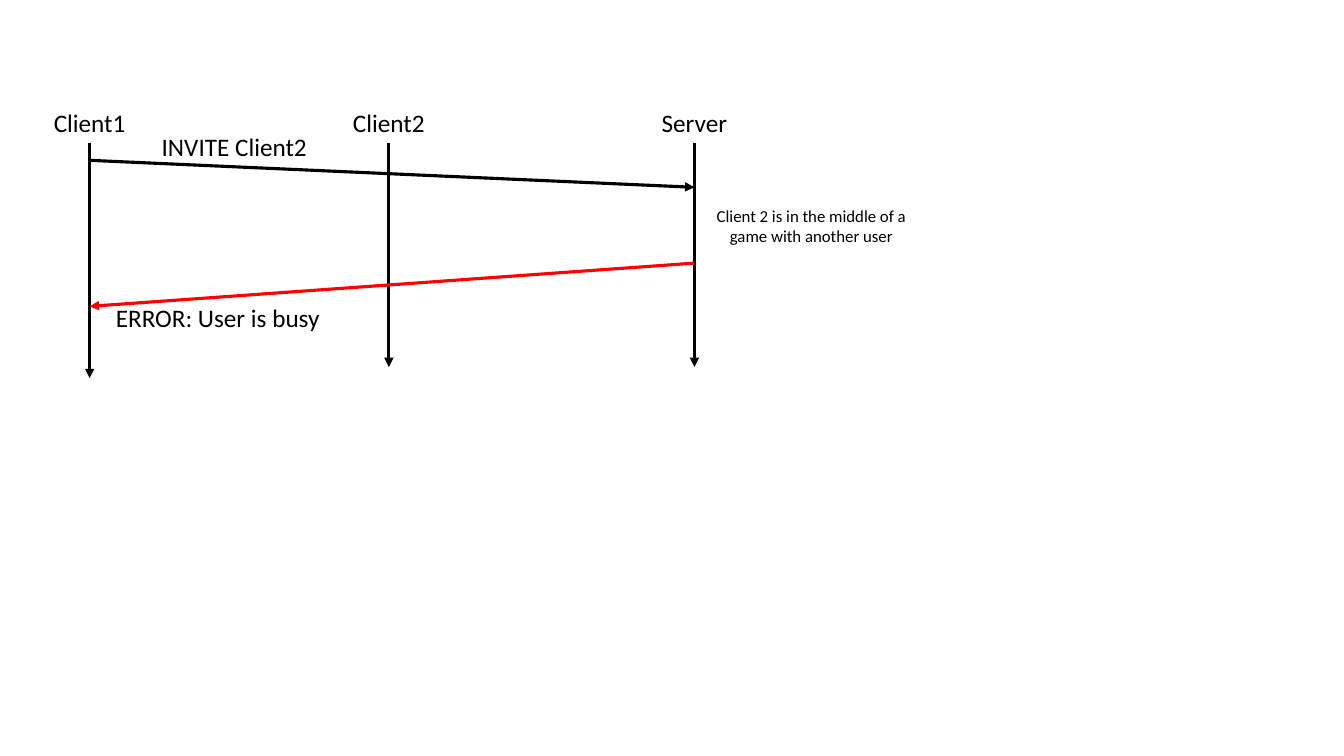
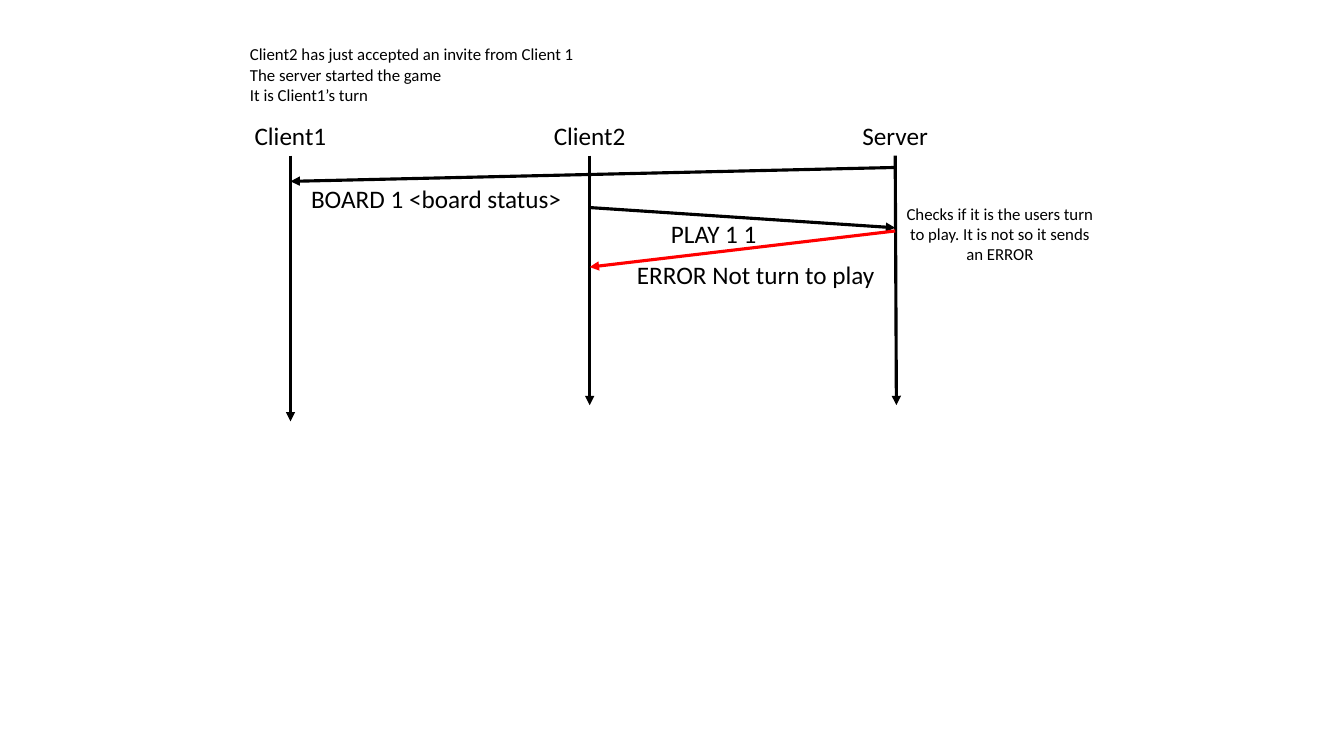
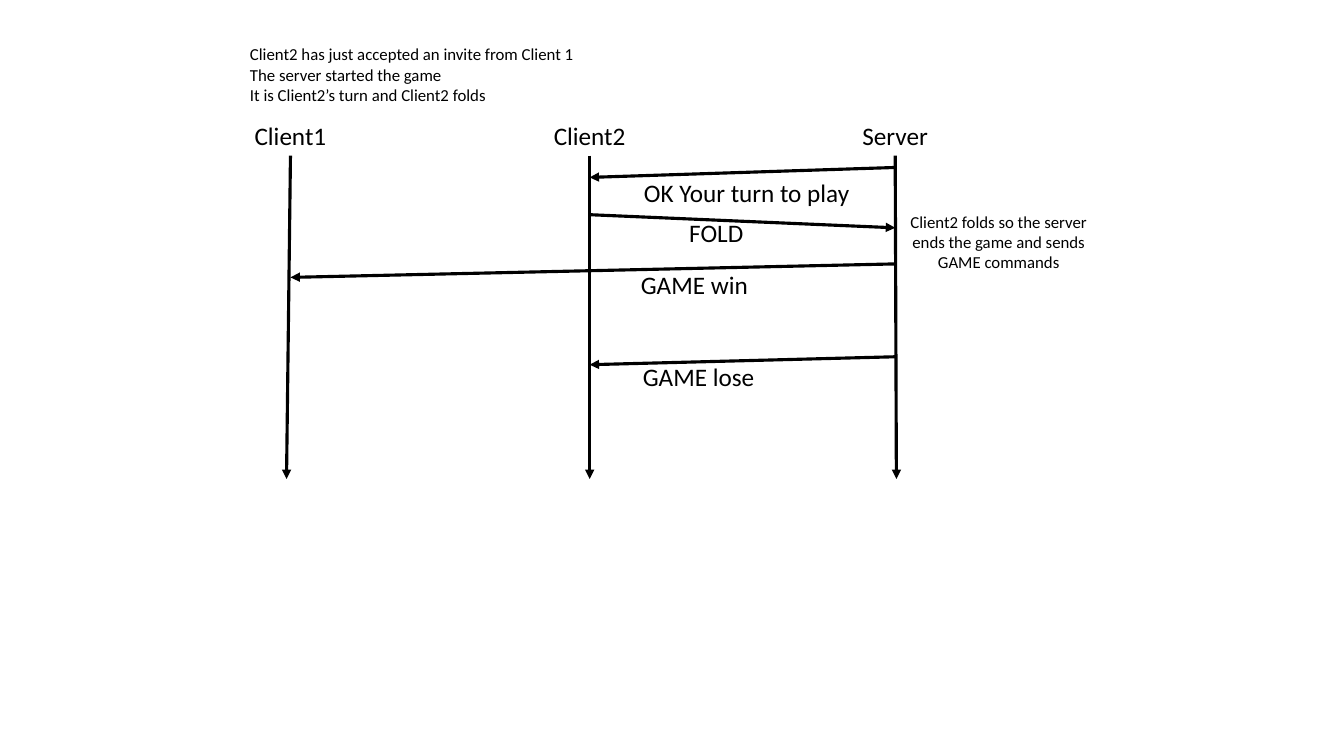
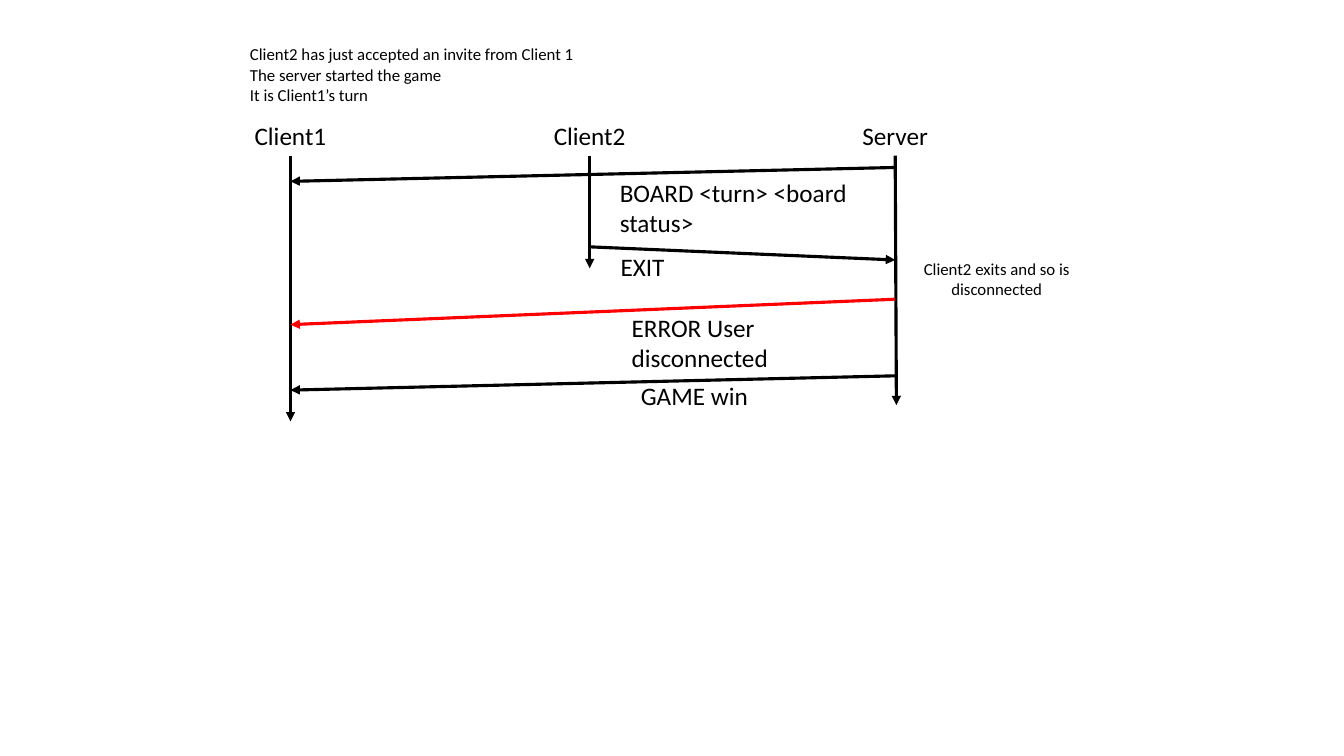
from dataclasses import dataclass

from lxml import etree
from pptx import Presentation
from pptx.dml.color import RGBColor
from pptx.enum.shapes import MSO_CONNECTOR
from pptx.enum.text import MSO_AUTO_SIZE, PP_ALIGN
from pptx.oxml.ns import qn
from pptx.util import Cm, Pt

LEFT, MID = PP_ALIGN.LEFT, PP_ALIGN.CENTER
FIT = MSO_AUTO_SIZE.SHAPE_TO_FIT_TEXT
STRAIGHT = MSO_CONNECTOR.STRAIGHT


@dataclass(frozen=True)
class Theme:
    font: str = "Calibri"
    ink: RGBColor = RGBColor(0, 0, 0)
    alert: RGBColor = RGBColor(255, 0, 0)
    body: int = 18
    small: int = 12
    line: float = 2.25


T = Theme()

# Lanes: all lengths in cm
LANES = ("Client1", "Client2", "Server")
STEPS = (0, 7.54, 15.24)
C1, C2, SRV = range(3)
HEAD_W, HEAD_H = 2.87, 1.02
NOTE_W = 5.28
INTRO_X, INTRO_Y, INTRO_W = 6.05, 0.99, 17.42
START = ("Client2 has just accepted an invite from Client 1",
         "The server started the game")

# ends: lean and bottom of each lane
# msgs: from, y, to, y, colour, text, (left, top, width, rows, align)
# note: text, left, top, rows
SLIDES = [
    dict(
        left=2.26, top=2.59, intro=(),
        ends=((0, 9.53), (0, 9.25), (0, 9.25)),
        msgs=(
            (C1, 4.04, SRV, 4.72, T.ink, "INVITE Client2", (2.54, 3.18, 6.73, 1, MID)),
            (SRV, 6.63, C1, 7.72, T.alert, "ERROR: User is busy", (2.67, 7.49, 6.43, 1, LEFT)),
        ),
        note=("Client 2 is in the middle of a game with another user", 17.81, 5.05, 2),
    ),
    dict(
        left=7.32, top=2.9, intro=START + ("It is Client1’s turn",),
        ends=((0, 10.62), (0, 10.21), (0.03, 10.21)),
        msgs=(
            (SRV, 4.22, C1, 4.57, T.ink, "BOARD 1 <board status>", (7.59, 4.5, 7.67, 1, LEFT)),
            (C2, 5.23, SRV, 5.74, T.ink, "PLAY 1 1", (16.66, 5.38, 6.43, 1, LEFT)),
            (SRV, 5.82, C2, 6.73, T.alert, "ERROR Not turn to play", (15.8, 6.4, 6.81, 1, LEFT)),
        ),
        note=("Checks if it is the users turn to play. It is not so it sends an ERROR",
              22.56, 5, 3),
    ),
    dict(
        left=7.32, top=2.9, intro=START + ("It is Client2’s turn and Client2 folds",),
        ends=((-0.1, 12.07), (0, 12.07), (0.03, 12.07)),
        msgs=(
            (SRV, 4.22, C2, 4.47, T.ink, "OK Your turn to play", (15.98, 4.34, 6.43, 1, LEFT)),
            (C2, 5.41, SRV, 5.74, T.ink, "FOLD", (17.12, 5.36, 6.43, 1, LEFT)),
            (SRV, 6.65, C1, 6.99, T.ink, "GAME win", (15.9, 6.65, 6.43, 1, LEFT)),
            (SRV, 8.99, C2, 9.19, T.ink, "GAME lose", (15.95, 8.99, 6.43, 1, LEFT)),
        ),
        note=("Client2 folds so the server ends the game and sends GAME commands",
              22.53, 5.21, 3),
    ),
    dict(
        left=7.32, top=2.9, intro=START + ("It is Client1’s turn",),
        ends=((0, 10.62), (0, 6.76), (0.03, 10.21)),
        msgs=(
            (SRV, 4.22, C1, 4.57, T.ink, "BOARD <turn> <board status>",
             (15.37, 4.34, 6.83, 2, LEFT)),
            (C2, 6.22, SRV, 6.55, T.ink, "EXIT", (15.39, 6.22, 6.43, 1, LEFT)),
            (SRV, 7.54, C1, 8.18, T.alert, "ERROR User disconnected",
             (15.67, 7.75, 6.81, 2, LEFT)),
            (SRV, 9.47, C1, 9.83, T.ink, "GAME win", (15.9, 9.47, 6.43, 1, LEFT)),
        ),
        note=("Client2 exits and so is disconnected", 22.48, 6.4, 2),
    ),
]


def write(slide, lines, x, y, w, rows, size, align):
    """Add a text box as tall as its rows."""
    high = Cm(0.25) + Pt(size * 1.2 * rows)
    box = slide.shapes.add_textbox(Cm(x), Cm(y), Cm(w), high)
    frame = box.text_frame
    frame.word_wrap = True
    frame.auto_size = FIT
    frame.text = "\n".join(lines)
    for par in frame.paragraphs:
        par.alignment = align
        par.font.name = T.font
        par.font.size = Pt(size)
        par.font.color.rgb = T.ink


def arrow(slide, x1, y1, x2, y2, color):
    """Add a straight arrow that points at its second end."""
    link = slide.shapes.add_connector(STRAIGHT, Cm(x1), Cm(y1), Cm(x2), Cm(y2))
    link.line.color.rgb = color
    link.line.width = Pt(T.line)
    etree.SubElement(link.line._get_or_add_ln(), qn("a:tailEnd"), type="triangle")
    etree.SubElement(link._element.spPr, qn("a:effectLst"))


def draw(slide, left, top, intro, ends, msgs, note):
    """Draw one sequence diagram."""
    lanes = [left + step for step in STEPS]
    # Lane heads and lifelines
    for name, x, (lean, low) in zip(LANES, lanes, ends):
        write(slide, [name], x - HEAD_W / 2, top, HEAD_W, 1, T.body, MID)
        arrow(slide, x, top + HEAD_H, x + lean, low, T.ink)
    # Messages
    for src, y1, dst, y2, color, text, (x, y, w, rows, align) in msgs:
        arrow(slide, lanes[src], y1, lanes[dst], y2, color)
        write(slide, [text], x, y, w, rows, T.body, align)
    # Opening state and side note
    if intro:
        write(slide, intro, INTRO_X, INTRO_Y, INTRO_W, len(intro), T.small, LEFT)
    text, x, y, rows = note
    write(slide, [text], x, y, NOTE_W, rows, T.small, MID)


def main():
    deck = Presentation()
    deck.slide_width, deck.slide_height = Cm(33.87), Cm(19.05)
    blank = deck.slide_layouts[6]
    for data in SLIDES:
        draw(deck.slides.add_slide(blank), **data)
    deck.save("out.pptx")


if __name__ == "__main__":
    main()
